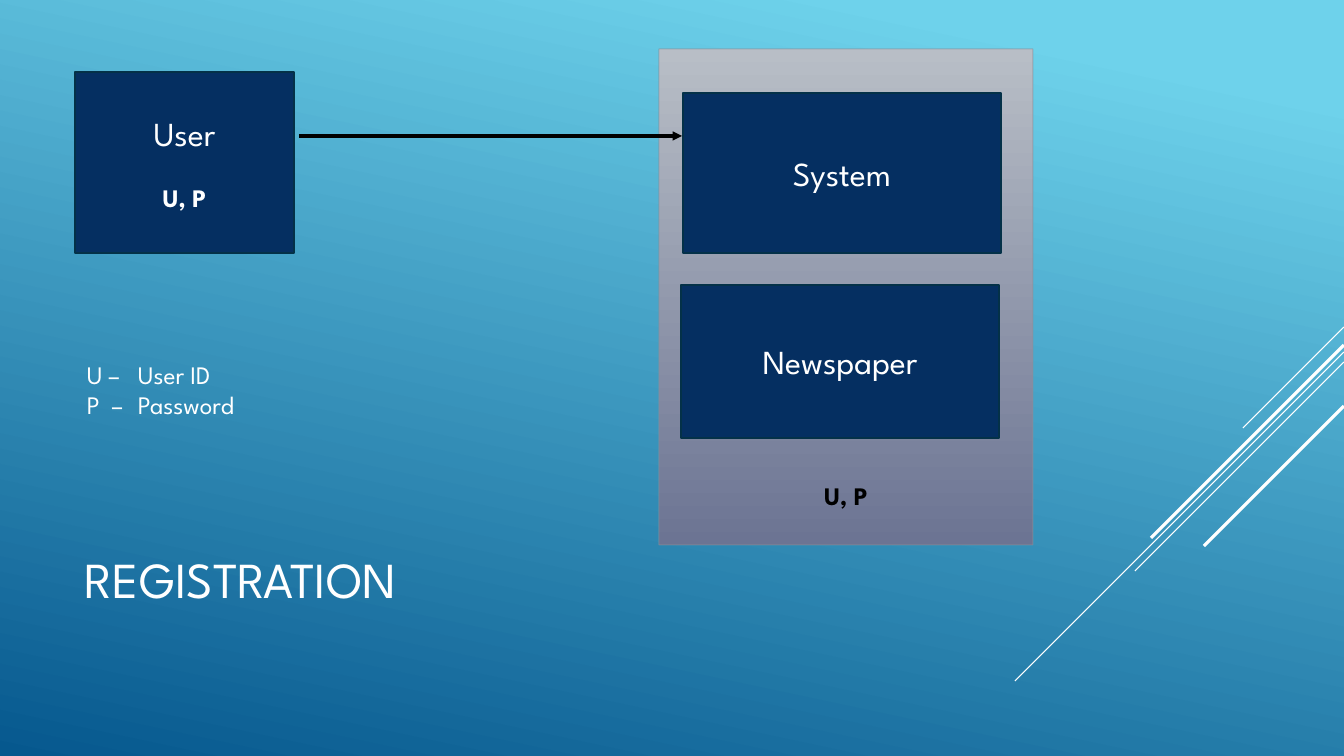
from lxml.etree import SubElement
from pptx import Presentation
from pptx.dml.color import RGBColor
from pptx.enum.shapes import MSO_CONNECTOR as CONN, MSO_SHAPE as SHAPE
from pptx.enum.text import MSO_ANCHOR as ANCHOR, PP_ALIGN as ALIGN
from pptx.oxml.ns import qn
from pptx.util import Pt

EMU_PER_PX = 914400 / 100.8
WHITE, BLACK, NAVY, NAVY_EDGE = "FFFFFF", "000000", "052F61", "043148"


def px(n):
    """Turn pixels into EMU."""
    return round(n * EMU_PER_PX)


def rgb(code):
    """Turn a hex string into a colour."""
    return RGBColor.from_string(code)


def gradient(fill, stops, angle):
    """Fill with (position, colour) stops at a clockwise angle."""
    fill.gradient()
    fill.gradient_angle = 360 - angle
    for stop, (pos, code) in zip(fill.gradient_stops, stops):
        stop.position = pos
        stop.color.rgb = rgb(code)


def write(p, text, size=18, color=WHITE, bold=False, align=ALIGN.LEFT,
          before=0, tabs=(), font="League Spartan"):
    """Write one formatted paragraph."""
    p.alignment = align
    p.space_before = Pt(before)
    if tabs:
        tab_list = SubElement(p._p.get_or_add_pPr(), qn("a:tabLst"))
        for tab in tabs:
            SubElement(tab_list, qn("a:tab"), pos=str(px(tab)), algn="l")
    r = p.add_run()
    r.text = text
    r.font.name, r.font.size, r.font.bold = font, Pt(size), bold
    r.font.color.rgb = rgb(color)


class Deck:
    """Holds the style and the current slide."""

    def __init__(self, prs):
        """Add a blank slide with the blue background."""
        self.s = prs.slides.add_slide(prs.slide_layouts[6])
        gradient(self.s.background.fill, [(0.1, "6ED2EB"), (1, "06588E")], 102)

    def fill_text(self, sp, lines, anchor):
        """Put (text, format) lines into a shape."""
        tf = sp.text_frame
        tf.word_wrap = True
        tf.vertical_anchor = anchor
        for i, (text, fmt) in enumerate(lines):
            write(tf.add_paragraph() if i else tf.paragraphs[0], text, **fmt)
        return tf

    def text(self, x, y, w, h, lines, anchor=ANCHOR.TOP):
        """Add a text box."""
        sp = self.s.shapes.add_textbox(px(x), px(y), px(w), px(h))
        self.fill_text(sp, lines, anchor)

    def box(self, x, y, w, h, lines, edge=NAVY_EDGE, width=1.25,
            anchor=ANCHOR.MIDDLE):
        """Add a navy rectangle with centred text."""
        sp = self.s.shapes.add_shape(SHAPE.RECTANGLE, px(x), px(y), px(w), px(h))
        sp.shadow.inherit = False
        sp.fill.solid()
        sp.fill.fore_color.rgb = rgb(NAVY)
        sp.line.color.rgb = rgb(edge)
        sp.line.width = Pt(width)
        centred = [(text, {"align": ALIGN.CENTER, **fmt}) for text, fmt in lines]
        self.fill_text(sp, centred, anchor)
        return sp

    def panel(self, x, y, w, h, lines, bottom):
        """Add a grey gradient panel with text near its bottom."""
        sp = self.box(x, y, w, h, lines, "89919C", 0.75, ANCHOR.BOTTOM)
        gradient(sp.fill, [(0, "B8BEC6"), (1, "6C7493")], 90)
        sp.text_frame.margin_bottom = px(bottom)
        edge = sp.line._ln.find(".//" + qn("a:srgbClr"))
        SubElement(edge, qn("a:alpha"), val="60000")

    def line(self, x1, y1, x2, y2, color=WHITE, width=0.75, arrow=False):
        """Add a straight line, with an arrowhead if asked."""
        c = self.s.shapes.add_connector(CONN.STRAIGHT, px(x1), px(y1), px(x2), px(y2))
        c.line.color.rgb = rgb(color)
        c.line.width = Pt(width)
        if arrow:
            SubElement(c.line._ln, qn("a:tailEnd"), type="triangle")
        SubElement(c._element.spPr, qn("a:effectLst"))


def main():
    """Build the registration slide."""
    prs = Presentation()
    prs.slide_width, prs.slide_height = px(1344), px(756)
    deck = Deck(prs)

    for y, run, width in [(327, 101, 0.75), (352, 329, 0.75), (362, 209, 0.75),
                          (345, 193, 2.25), (406, 140, 2.25)]:
        deck.line(1344, y, 1344 - run, y + run, width=width)

    deck.text(75, 495, 940, 166, [("REGISTRATION", {"size": 36})], ANCHOR.MIDDLE)
    deck.panel(659, 49, 374, 496, [("U, P", {"color": BLACK, "bold": True})], 34)
    deck.box(75, 72, 219, 181, [("User", {"size": 24}),
                                ("U, P", {"bold": True, "before": 21})])
    deck.box(683, 93, 318, 160, [("System", {"size": 24})])
    deck.box(681, 285, 318, 153, [("Newspaper", {"size": 24})])
    deck.line(299, 136, 682, 136, BLACK, 2.25, arrow=True)
    deck.text(77, 354, 672, 72, [("U –\tUser ID", {"tabs": [51]}),
                                 ("P\t–\tPassword", {"tabs": [25, 51]})])
    prs.save("out.pptx")


main()
